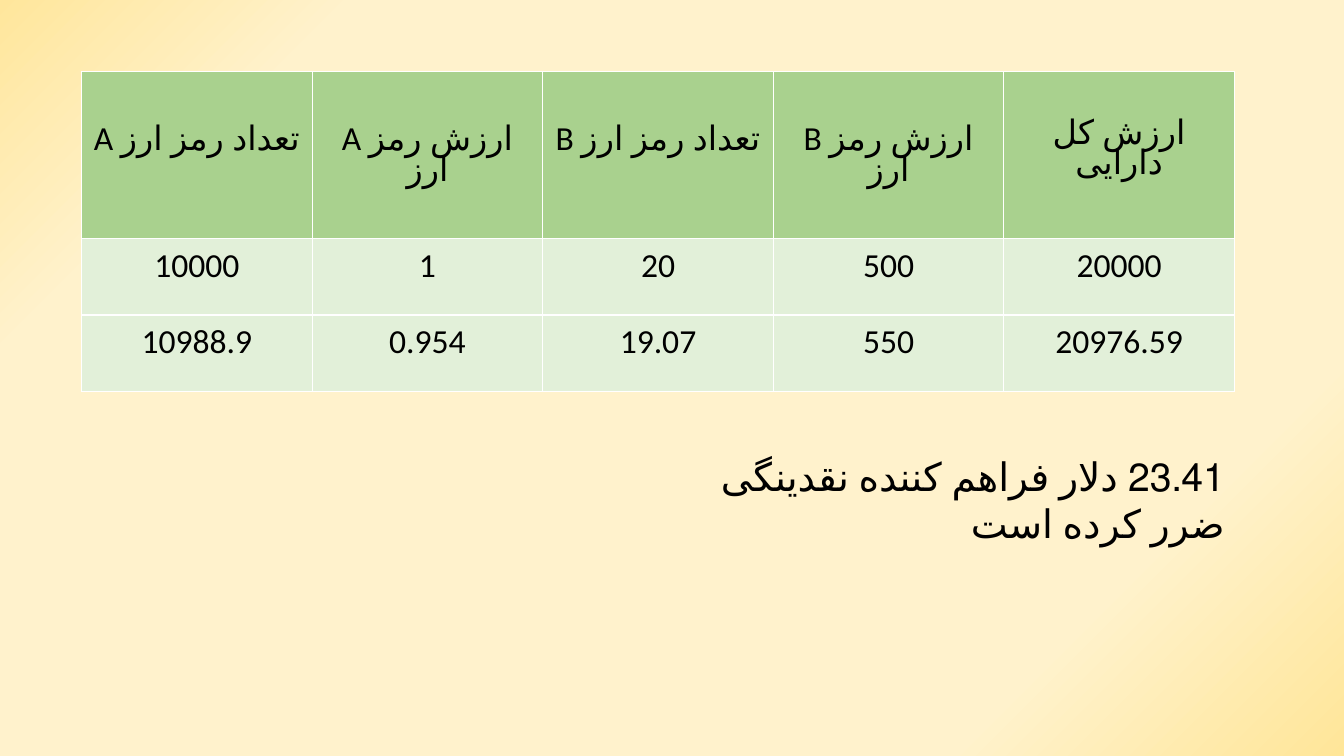
from dataclasses import dataclass

from lxml import etree
from pptx import Presentation
from pptx.dml.color import RGBColor
from pptx.enum.lang import MSO_LANGUAGE_ID
from pptx.enum.text import PP_ALIGN
from pptx.oxml.ns import qn
from pptx.util import Pt

CENTER, RIGHT = PP_ALIGN.CENTER, PP_ALIGN.RIGHT
PERSIAN = MSO_LANGUAGE_ID.FARSI
FONT = "Calibri"
BLACK, WHITE = "000000", "FFFFFF"
BACKGROUND_STOPS = [(0, "FFE699"), (19, "FFF2CC"), (83, "FFF2CC"),
                    (100, "FFE69C"), (100, "FFECB2")]
BACKGROUND_ANGLE = 225
COLUMN_WIDTH = 164.7


@dataclass
class TableRow:
    texts: list[str]
    height: float
    fill: str
    margin_top: float


ROWS = [
    TableRow(["A تعداد رمز ارز", "A ارزش رمز ارز", "B تعداد رمز ارز",
              "B ارزش رمز ارز", "ارزش کل دارایی"], 119.2, "A9D18E", 35),
    TableRow(["10000", "1", "20", "500", "20000"], 54.7, "E2F0D9", 6.6),
    TableRow(["10988.9", "0.954", "19.07", "550", "20976.59"], 54.7, "E2F0D9", 6.6),
]


def rgb(color: str) -> RGBColor:
    return RGBColor.from_string(color)


def write(tf, text: str, *, size: float, align, color: str = BLACK,
          spacing: float = 1.0, rtl: bool = False) -> None:
    p = tf.paragraphs[0]
    p.alignment = align
    p.line_spacing = spacing
    if rtl:
        p._p.get_or_add_pPr().set("rtl", "1")
    r = p.add_run()
    r.text = text
    r.font.name = FONT
    r.font.size = Pt(size)
    r.font.color.rgb = rgb(color)
    r.font.language_id = PERSIAN


def set_background(slide) -> None:
    slide.background.fill.gradient()
    grad = slide._element.find(".//" + qn("a:gradFill"))
    stops = grad.find(qn("a:gsLst"))
    for stop in list(stops):
        stops.remove(stop)
    for position, color in BACKGROUND_STOPS:
        stop = etree.SubElement(stops, qn("a:gs"), pos=str(position * 1000))
        etree.SubElement(stop, qn("a:srgbClr"), val=color)
    grad.find(qn("a:lin")).set("ang", str(BACKGROUND_ANGLE * 60000))


def set_borders(cell, color: str, width: float) -> None:
    tc_pr = cell._tc.get_or_add_tcPr()
    for side in ("lnL", "lnR", "lnT", "lnB"):
        line = etree.SubElement(tc_pr, qn(f"a:{side}"), w=str(Pt(width)))
        fill = etree.SubElement(line, qn("a:solidFill"))
        etree.SubElement(fill, qn("a:srgbClr"), val=color)


def add_asset_table(slide, rows: list[TableRow], left: float, top: float) -> None:
    columns = len(rows[0].texts)
    table = slide.shapes.add_table(
        len(rows), columns, Pt(left), Pt(top), Pt(COLUMN_WIDTH * columns),
        Pt(sum(row.height for row in rows))).table
    table.first_row = False
    table.horz_banding = False
    for column in table.columns:
        column.width = Pt(COLUMN_WIDTH)
    for i, row in enumerate(rows):
        table.rows[i].height = Pt(row.height)
        for j, text in enumerate(row.texts):
            cell = table.cell(i, j)
            set_borders(cell, WHITE, 1)
            cell.fill.solid()
            cell.fill.fore_color.rgb = rgb(row.fill)
            cell.margin_top = Pt(row.margin_top)
            write(cell.text_frame, text, size=24, align=CENTER, spacing=0.9)


def main() -> None:
    prs = Presentation()
    prs.slide_width, prs.slide_height = Pt(960), Pt(540)
    slide = prs.slides.add_slide(prs.slide_layouts[6])
    set_background(slide)

    # Asset values before and after the price change
    add_asset_table(slide, ROWS, 58.3, 51.1)

    # Conclusion
    sp = slide.shapes.add_textbox(Pt(483.1), Pt(319.7), Pt(398.9), Pt(41))
    tf = sp.text_frame
    tf.word_wrap = True
    write(tf, "23.41 دلار فراهم کننده نقدینگی ضرر کرده است",
          size=28, align=RIGHT, rtl=True)

    prs.save("out.pptx")


if __name__ == "__main__":
    main()
